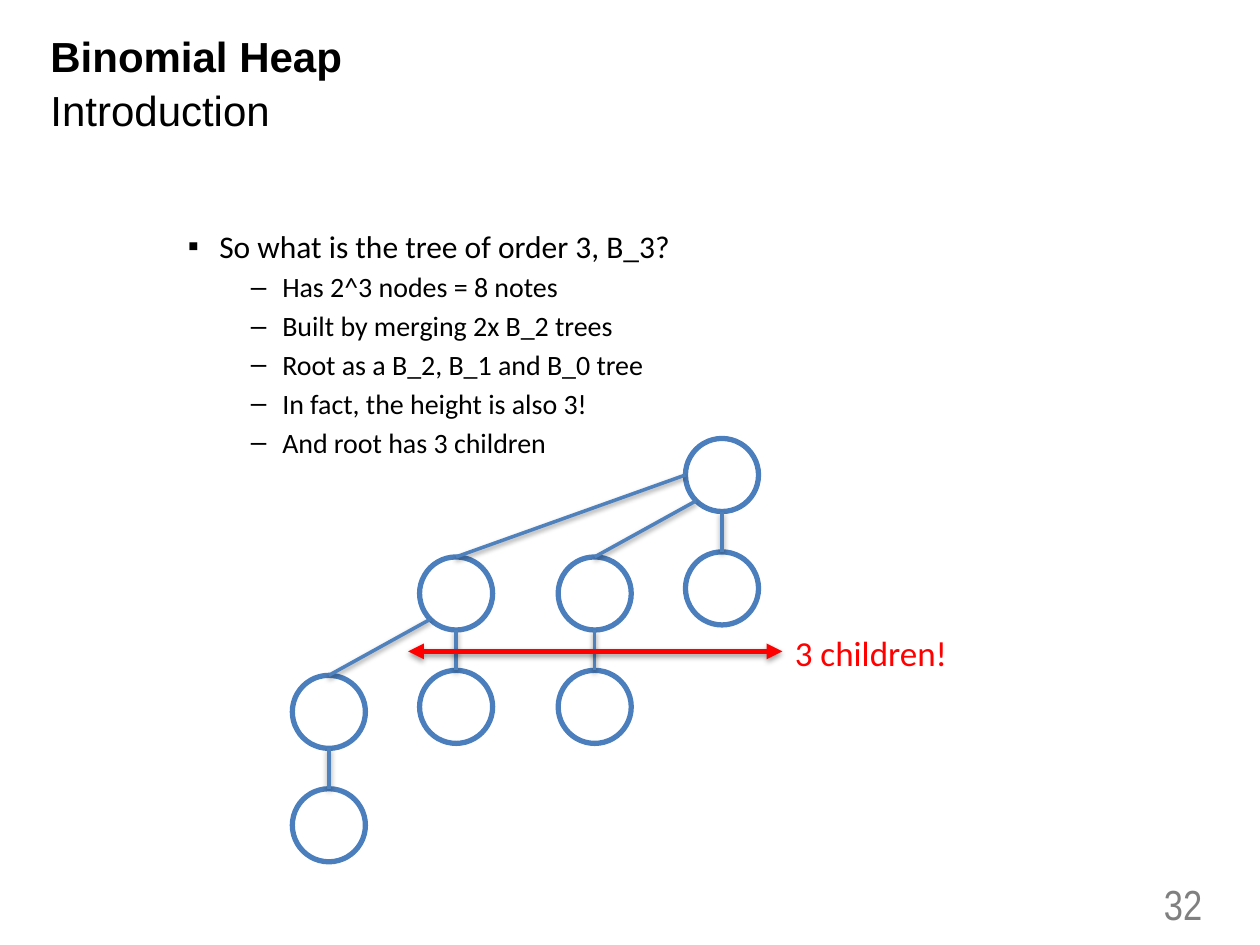
from math import cos, radians, sin

from lxml import etree
from pptx import Presentation
from pptx.dml.color import RGBColor
from pptx.enum.shapes import MSO_CONNECTOR, MSO_SHAPE
from pptx.enum.text import MSO_ANCHOR, MSO_AUTO_SIZE, PP_ALIGN
from pptx.oxml import parse_xml
from pptx.oxml.ns import nsdecls, qn
from pptx.util import Inches, Pt

STRAIGHT, OVAL = MSO_CONNECTOR.STRAIGHT, MSO_SHAPE.OVAL
TOP, MIDDLE = MSO_ANCHOR.TOP, MSO_ANCHOR.MIDDLE
LEFT, RIGHT = PP_ALIGN.LEFT, PP_ALIGN.RIGHT
FIXED = MSO_AUTO_SIZE.NONE

HEADING = [("Binomial Heap", True), ("Introduction", False)]
BULLETS = [
    (1, "So what is the tree of order 3, B_3?"),
    (2, "Has 2^3 nodes = 8 notes"),
    (2, "Built by merging 2x B_2 trees"),
    (2, "Root as a B_2, B_1 and B_0 tree"),
    (2, "In fact, the height is also 3!"),
    (2, "And root has 3 children"),
]
LEVELS = {
    1: {"size": 18, "bullet": "▪", "margin": 1.25},
    2: {"size": 16, "bullet": "–", "margin": 1.75},
}
PAGE_NUMBER = "32"
CHILDREN_LABEL = "3 children!"

COLUMNS = [2.32, 3.33, 4.43, 5.44]
ROOT_TOP, NODE_SIZE = 3.48, 0.58
SUBTREE_DROP, LEAF_DROP = 0.94, 0.9
EXIT_ANGLES = {"bottom": 90, "lower left": 135, "left": 180}
NODES = [
    ("root", 3, None, None),
    ("order 0", 3, "root", "bottom"),
    ("order 1", 2, "root", "lower left"),
    ("order 1 leaf", 2, "order 1", "bottom"),
    ("order 2", 1, "root", "left"),
    ("order 2 right leaf", 1, "order 2", "bottom"),
    ("order 2 child", 0, "order 2", "lower left"),
    ("order 2 left leaf", 0, "order 2 child", "bottom"),
]
ARROW_START, ARROW_END = (3.24, 5.17), (6.21, 5.17)

SHADOW = (
    f'<a:effectLst {nsdecls("a")}><a:outerShdw blurRad="{Pt(3.1)}" dist="{Pt(1.6)}" '
    'dir="5400000" rotWithShape="0"><a:srgbClr val="000000"><a:alpha val="38000"/>'
    '</a:srgbClr></a:outerShdw></a:effectLst>'
)


def color(value):
    return RGBColor.from_string(value)


def apply(target, values):
    for name, value in values.items():
        setattr(target, name, value)


def place(shape, left, top, width, height):
    sides = {"left": left, "top": top, "width": width, "height": height}
    apply(shape, {name: Inches(value) for name, value in sides.items()})


def add_text(paragraph, text, font_name, size, font_color, bold=False):
    run = paragraph.add_run()
    run.text = text
    apply(run.font, {"name": font_name, "size": Pt(size), "bold": bold})
    run.font.color.rgb = color(font_color)


def paragraph_at(frame, index):
    return frame.add_paragraph() if index else frame.paragraphs[0]


def add_bullet(paragraph, character, margin):
    properties = paragraph._p.get_or_add_pPr()
    properties.set("marL", str(Inches(margin)))
    properties.set("indent", str(Inches(-0.25)))
    etree.SubElement(properties, qn("a:buFont"), typeface="Arial")
    etree.SubElement(properties, qn("a:buChar"), char=character)


def add_line(slide, start, end, line_color, width, arrows=False):
    points = [Inches(value) for value in (*start, *end)]
    connector = slide.shapes.add_connector(STRAIGHT, *points)
    connector.line.color.rgb = color(line_color)
    connector.line.width = Pt(width)
    if arrows:
        line = connector.line._get_or_add_ln()
        for tag in ("a:headEnd", "a:tailEnd"):
            etree.SubElement(line, qn(tag), type="triangle")
    connector._element.spPr.append(parse_xml(SHADOW))


def add_heading(slide):
    title = slide.shapes.title
    place(title, 0.3, 0.24, 5.71, 0.85)
    frame = title.text_frame
    apply(frame, {"vertical_anchor": TOP, "auto_size": FIXED, "word_wrap": True})
    for index, (text, bold) in enumerate(HEADING):
        paragraph = paragraph_at(frame, index)
        space = Pt(5 if index else 0)
        apply(paragraph, {"alignment": LEFT, "line_spacing": 0.9, "space_before": space})
        add_text(paragraph, text, "Arial", 24, "000000", bold)


def add_bullets(slide):
    body = slide.placeholders[1]
    place(body, 0.39, 1.75, 9, 4.95)
    frame = body.text_frame
    apply(frame, {"vertical_anchor": TOP, "auto_size": FIXED, "word_wrap": True})
    for index, (level, text) in enumerate(BULLETS):
        style = LEVELS[level]
        paragraph = paragraph_at(frame, index)
        apply(paragraph, {"level": level, "space_before": Pt(3 if index else 0)})
        add_bullet(paragraph, style["bullet"], style["margin"])
        add_text(paragraph, text, "Calibri", style["size"], "000000")


def add_tree(slide):
    radius = NODE_SIZE / 2
    centers = {}
    for name, column, parent, exit_side in NODES:
        left, top = COLUMNS[column], ROOT_TOP
        if parent:
            drop = LEAF_DROP if exit_side == "bottom" else SUBTREE_DROP
            top = centers[parent][1] - radius + drop
        centers[name] = (left + radius, top + radius)
        bounds = [Inches(value) for value in (left, top, NODE_SIZE, NODE_SIZE)]
        node = slide.shapes.add_shape(OVAL, *bounds)
        node.shadow.inherit = False
        node.fill.background()
        node.line.color.rgb = color("4B7EBC")
        node.line.width = Pt(3)
        if parent:
            angle = radians(EXIT_ANGLES[exit_side])
            x, y = centers[parent]
            start = (x + radius * cos(angle), y + radius * sin(angle))
            add_line(slide, start, (left + radius, top), "4F81BD", 2)


def add_label(slide, text, bounds, font, frame_values, alignment):
    box = slide.shapes.add_textbox(*[Inches(value) for value in bounds])
    apply(box.text_frame, frame_values)
    paragraph = box.text_frame.paragraphs[0]
    paragraph.alignment = alignment
    add_text(paragraph, text, *font)


def main():
    presentation = Presentation()
    apply(presentation, {"slide_width": Inches(10), "slide_height": Inches(7.5)})
    slide = presentation.slides.add_slide(presentation.slide_layouts[1])
    add_heading(slide)
    add_bullets(slide)
    add_tree(slide)
    add_line(slide, ARROW_START, ARROW_END, "FF0000", 3, arrows=True)
    add_label(slide, CHILDREN_LABEL, (6.21, 4.96, 1.42, 0.44),
              ("Calibri", 20, "FF0000"), {"word_wrap": False}, LEFT)
    add_label(slide, PAGE_NUMBER, (8.31, 6.97, 1.33, 0.4),
              ("Arial Narrow", 24, "808080"),
              {"word_wrap": True, "vertical_anchor": MIDDLE}, RIGHT)
    presentation.save("out.pptx")


if __name__ == "__main__":
    main()
